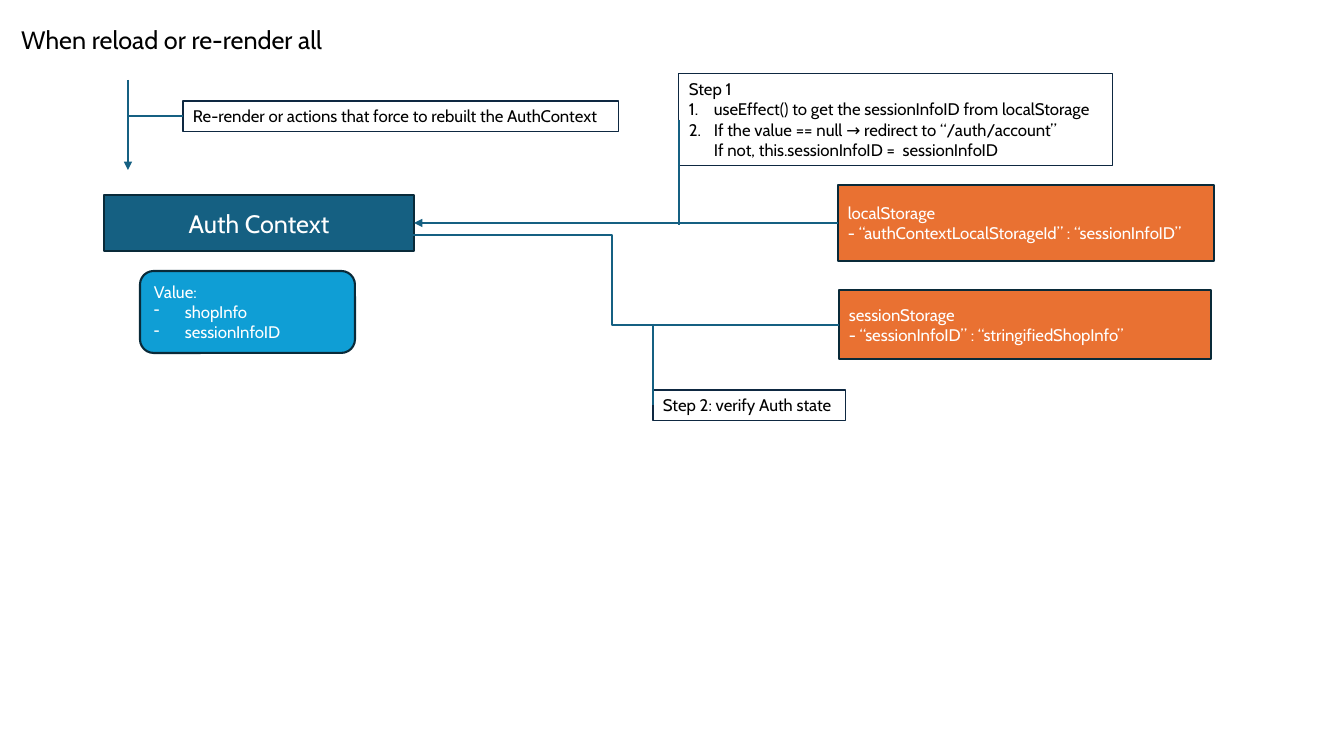
import pptx
import pptx.util
import pptx.dml.color
import pptx.enum.shapes
import pptx.enum.text
import pptx.oxml
import pptx.oxml.ns

EMU_PER_PX = 914400 / 100.8
FONT = "Cabin"
BLACK, WHITE = "000000", "FFFFFF"
TEAL, DARK_TEAL, NAVY = "156082", "092A39", "0E2841"
BLUE, ORANGE = "0F9ED5", "E97132"
SHAPE = pptx.enum.shapes.MSO_SHAPE
CONNECTOR = pptx.enum.shapes.MSO_CONNECTOR
ALIGN = pptx.enum.text.PP_ALIGN
ANCHOR = pptx.enum.text.MSO_ANCHOR


def px(n):
    return pptx.util.Emu(round(n * EMU_PER_PX))


def color(hex_string):
    return pptx.dml.color.RGBColor.from_string(hex_string)


def add_xml(parent, tag, **attrs):
    el = pptx.oxml.parse_xml(f"<a:{tag} {pptx.oxml.ns.nsdecls('a')}/>")
    for name, value in attrs.items():
        el.set(name, value)
    parent.append(el)


def write(tf, lines, size, text_color, align=ALIGN.LEFT, anchor=ANCHOR.MIDDLE):
    tf.word_wrap = True
    tf.auto_size = pptx.enum.text.MSO_AUTO_SIZE.NONE
    tf.vertical_anchor = anchor
    tf.text = "\n".join(lines)
    for p in tf.paragraphs:
        p.alignment = align
        for r in p.runs:
            r.font.size = pptx.util.Pt(size)
            r.font.name = FONT
            r.font.color.rgb = color(text_color)


def set_bullets(paragraphs, indent, tag, **attrs):
    for p in paragraphs:
        pPr = p._p.get_or_add_pPr()
        pPr.set("marL", str(px(indent)))
        pPr.set("indent", str(-px(indent)))
        add_xml(pPr, tag, **attrs)


def add_box(slide, x, y, w, h, lines, fill, size=12, kind=SHAPE.RECTANGLE, align=ALIGN.LEFT):
    sp = slide.shapes.add_shape(kind, px(x), px(y), px(w), px(h))
    sp.shadow.inherit = False
    sp.fill.solid()
    sp.fill.fore_color.rgb = color(fill)
    sp.line.color.rgb = color(DARK_TEAL)
    sp.line.width = pptx.util.Pt(1.5)
    write(sp.text_frame, lines, size, WHITE, align)
    return sp


def add_note(slide, x, y, w, h, lines):
    sp = slide.shapes.add_textbox(px(x), px(y), px(w), px(h))
    sp.line.color.rgb = color(NAVY)
    sp.line.width = pptx.util.Pt(0.75)
    write(sp.text_frame, lines, 12, BLACK, anchor=ANCHOR.TOP)
    return sp


def add_line(slide, x1, y1, x2, y2, arrow=False, kind=CONNECTOR.STRAIGHT):
    cxn = slide.shapes.add_connector(kind, px(x1), px(y1), px(x2), px(y2))
    cxn.line.color.rgb = color(TEAL)
    cxn.line.width = pptx.util.Pt(1.5)
    if arrow:
        add_xml(cxn.line._get_or_add_ln(), "tailEnd", type="triangle")
    add_xml(cxn._element.spPr, "effectLst")


def place_title(slide, x, y, w, h):
    sp = slide.shapes.title
    sp.left, sp.top, sp.width, sp.height = px(x), px(y), px(w), px(h)
    write(sp.text_frame, ["When reload or re-render all"], 18, BLACK, anchor=ANCHOR.TOP)


def draw_auth_context(slide, x, y, w, h):
    add_box(slide, x, y, w, h, ["Auth Context"], TEAL, 18, align=ALIGN.CENTER)
    sp = add_box(slide, x + 36, y + h + 20, 215, 82, ["Value:", "shopInfo", "sessionInfoID"],
                 BLUE, kind=SHAPE.ROUNDED_RECTANGLE)
    set_bullets(sp.text_frame.paragraphs[1:], 31, "buChar", char="-")


def draw_storage(slide, x, y, w, h, name, entry):
    add_box(slide, x, y, w, h, [name, f"- {entry}"], ORANGE)


def draw_trigger(slide, x, y, w, h):
    middle = y + 36
    add_line(slide, x, y, x, y + h, arrow=True)
    add_note(slide, x + 55, middle - 15, w - 55, 31,
             ["Re-render or actions that force to rebuilt the AuthContext"])
    add_line(slide, x + 55, middle, x, middle)


def draw_step_1(slide, x, y, w, h, storage_x, context_x, flow_y):
    sp = add_note(slide, x, y, w, h, [
        "Step 1",
        "useEffect() to get the sessionInfoID from localStorage",
        "If the value == null → redirect to “/auth/account”\vIf not, this.sessionInfoID =  sessionInfoID",
    ])
    set_bullets(sp.text_frame.paragraphs[1:], 25, "buAutoNum", type="arabicPeriod")
    add_line(slide, storage_x, flow_y, context_x, flow_y, arrow=True)
    add_line(slide, x, y + h // 2, x, flow_y + 2)


def draw_step_2(slide, x, y, w, h, storage_x, storage_y, context_x, context_y):
    add_note(slide, x, y, w, h, ["Step 2: verify Auth state"])
    add_line(slide, storage_x, storage_y, context_x, context_y, arrow=True, kind=CONNECTOR.ELBOW)
    add_line(slide, x, storage_y - 1, x, y + h // 2)


def main():
    prs = pptx.Presentation()
    prs.slide_width, prs.slide_height = px(1344), px(756)
    slide = prs.slides.add_slide(prs.slide_layouts[5])
    place_title(slide, 11, 19, 331, 40)
    draw_auth_context(slide, 104, 195, 310, 56)
    draw_storage(slide, 838, 185, 376, 76, "localStorage", "“authContextLocalStorageId” : “sessionInfoID”")
    draw_storage(slide, 839, 290, 372, 69, "sessionStorage", "“sessionInfoID” : “stringifiedShopInfo”")
    draw_trigger(slide, 128, 80, 491, 90)
    draw_step_1(slide, 679, 74, 434, 92, 838, 414, 223)
    draw_step_2(slide, 653, 390, 193, 31, 839, 325, 385, 235)
    prs.save("out.pptx")


if __name__ == "__main__":
    main()
